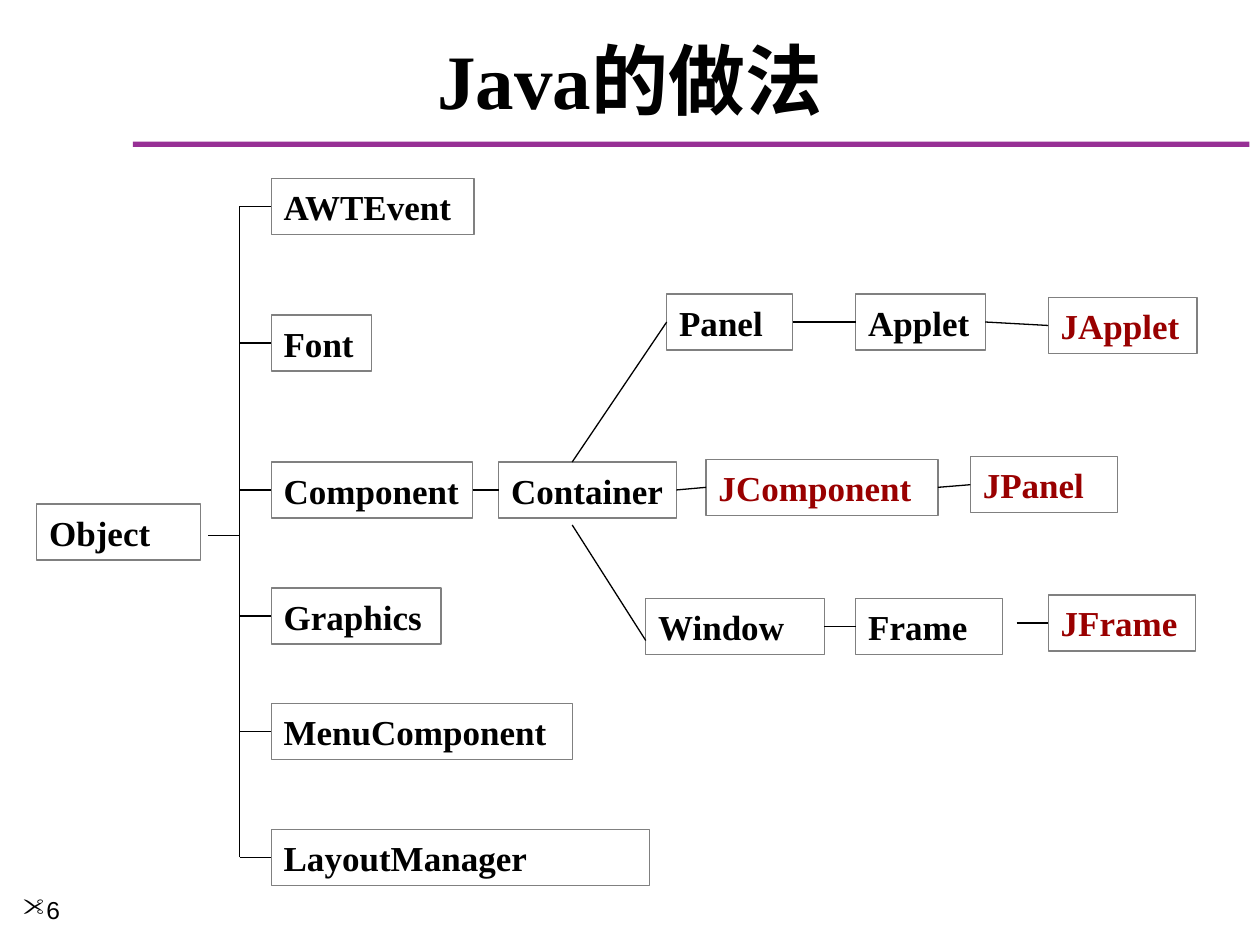
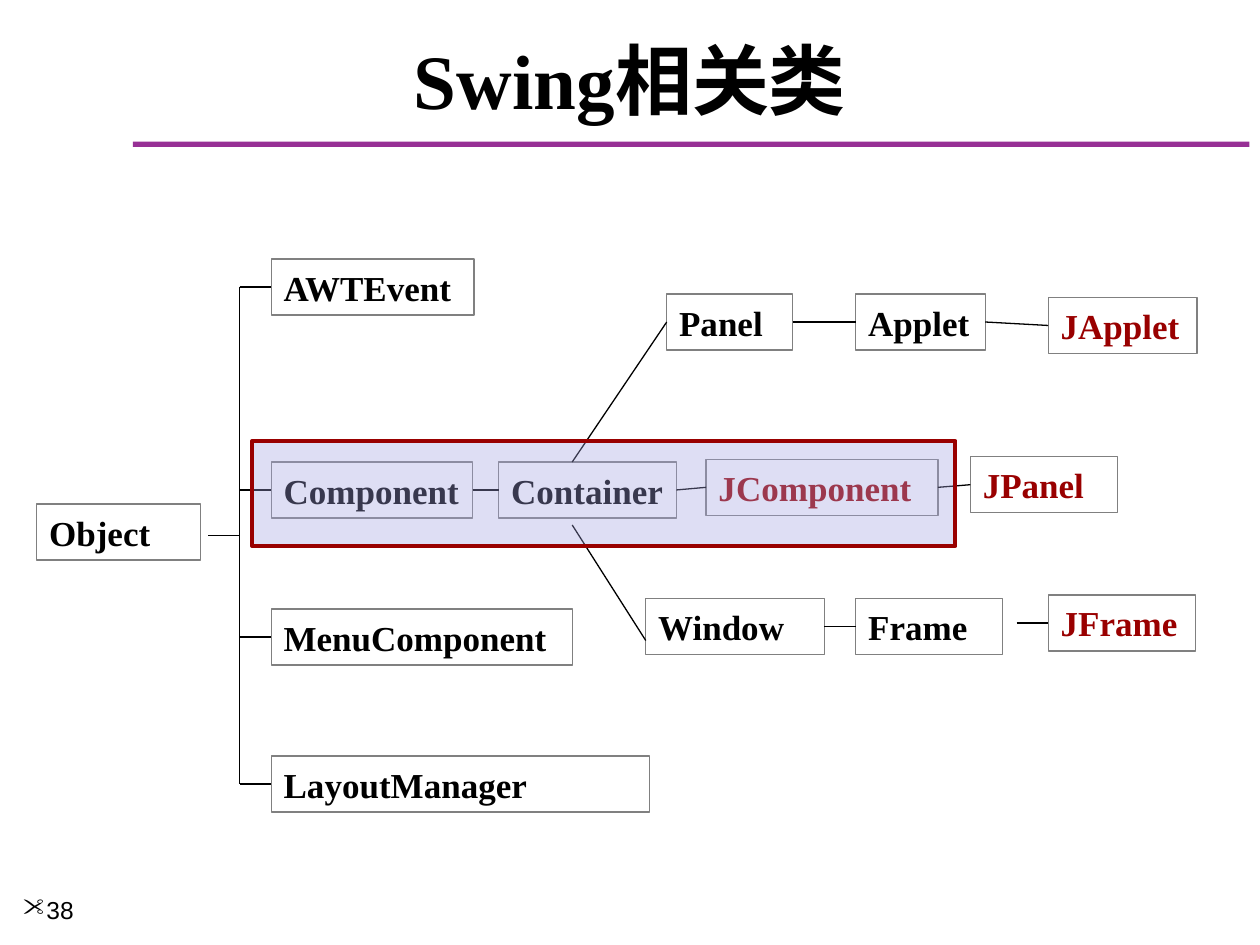
from dataclasses import dataclass

from lxml import etree
from pptx import Presentation
from pptx.dml.color import RGBColor
from pptx.enum.shapes import MSO_CONNECTOR, MSO_SHAPE
from pptx.enum.text import MSO_ANCHOR, PP_ALIGN
from pptx.oxml.ns import qn
from pptx.util import Pt

RECT = MSO_SHAPE.RECTANGLE
STRAIGHT = MSO_CONNECTOR.STRAIGHT
MIDDLE = MSO_ANCHOR.MIDDLE
LEFT, CENTER = PP_ALIGN.LEFT, PP_ALIGN.CENTER
LEFT_SIDE, RIGHT_SIDE = 1, 3


@dataclass(frozen=True)
class Theme:
    ink: RGBColor = RGBColor(0x00, 0x00, 0x00)
    swing: RGBColor = RGBColor(0x99, 0x00, 0x00)
    border: RGBColor = RGBColor(0x80, 0x80, 0x80)
    band: RGBColor = RGBColor(0x97, 0x30, 0x95)
    highlight: RGBColor = RGBColor(0xA3, 0xA3, 0xE0)
    serif: str = "Times New Roman"
    sans: str = "Arial"
    title_size: int = 44
    class_size: int = 20
    number_size: int = 14
    thin: float = 0.75
    thick: float = 2.25


THEME = Theme()
BOX_HEIGHT = 32
BRANCH_LEFT = 155
TRUNK_X = 137
OBJECT_Y = 306

BRANCH_WIDTHS = {
    "AWTEvent": 116, "Font": 57.5, "Component": 115,
    "Graphics": 97, "MenuComponent": 172, "LayoutManager": 216,
}
# Descendants of Component: name -> left, top, width, colour
DESCENDANTS = {
    "Container": (285, 264, 101.5, THEME.ink),
    "Panel": (381, 168, 72, THEME.ink),
    "Applet": (489, 168, 74, THEME.ink),
    "Window": (369, 342, 102, THEME.ink),
    "Frame": (489, 342, 84, THEME.ink),
    "JFrame": (599, 340, 84, THEME.swing),
    "JApplet": (599, 170, 85, THEME.swing),
    "JComponent": (403.5, 262.5, 132.5, THEME.swing),
    "JPanel": (554.5, 261, 84, THEME.swing),
}
CHAINS = [
    ("Component", "Container", "JComponent", "JPanel"),
    ("Panel", "Applet", "JApplet"),
    ("Window", "Frame"),
]


def write(tf, text, *, size, font=THEME.serif, color=THEME.ink, bold=True,
          align=LEFT):
    p = tf.paragraphs[0]
    p.alignment = align
    r = p.add_run()
    r.text = text
    r.font.name, r.font.size, r.font.bold = font, Pt(size), bold
    r.font.color.rgb = color
    return p


def add_rect(s, left, top, width, height, *, fill=None, line=None,
             line_width=THEME.thin):
    sp = s.shapes.add_shape(RECT, Pt(left), Pt(top), Pt(width), Pt(height))
    sp.shadow.inherit = False
    if fill is None:
        sp.fill.background()
    else:
        sp.fill.solid()
        sp.fill.fore_color.rgb = fill
    if line is None:
        sp.line.fill.background()
    else:
        sp.line.color.rgb = line
        sp.line.width = Pt(line_width)
    return sp


def add_class_box(s, name, left, top, width, color=THEME.ink):
    sp = add_rect(s, left, top, width, BOX_HEIGHT, line=THEME.border)
    tf = sp.text_frame
    tf.word_wrap = True
    tf.vertical_anchor = MIDDLE
    tf.margin_right = 0
    write(tf, name, size=THEME.class_size, color=color)
    return sp


def add_line(s, start=(0, 0), end=(0, 0), *, source=None, target=None):
    """Draw a line; source and target boxes replace the matching point."""
    c = s.shapes.add_connector(STRAIGHT, *map(Pt, (*start, *end)))
    c.line.color.rgb = THEME.ink
    c.line.width = Pt(THEME.thin)
    etree.SubElement(c._element.spPr, qn("a:effectLst"))
    if source is not None:
        c.begin_connect(source, RIGHT_SIDE)
    if target is not None:
        c.end_connect(target, LEFT_SIDE)


def add_slide_number(s, number):
    sp = s.shapes.add_textbox(Pt(6), Pt(508), Pt(78), Pt(32))
    sp.text_frame.word_wrap = True
    p = write(sp.text_frame, str(number), size=THEME.number_size,
              font=THEME.sans, bold=False)
    pPr = p._p.get_or_add_pPr()
    etree.SubElement(pPr, qn("a:buFont"), typeface="Wingdings", charset="2")
    etree.SubElement(pPr, qn("a:buChar"), char='"')


def add_titled_slide(prs, title, number):
    s = prs.slides.add_slide(prs.slide_layouts[5])
    add_rect(s, 76, 81, 638, 3, fill=THEME.band)
    sp = s.shapes.title
    sp.left, sp.top, sp.width, sp.height = map(Pt, (12, 18, 696, 54))
    sp.text_frame.vertical_anchor = MIDDLE
    write(sp.text_frame, title, size=THEME.title_size, align=CENTER)
    add_slide_number(s, number)
    return s


def add_class_tree(s, branch_tops):
    """Draw Object, its subclasses at the given tops, and the GUI classes."""
    add_class_box(s, "Object", 21, 288, 93.5)
    boxes = {name: add_class_box(s, name, BRANCH_LEFT, top, BRANCH_WIDTHS[name])
             for name, top in branch_tops.items()}
    tops = list(branch_tops.values())
    middle = BOX_HEIGHT / 2
    add_line(s, (TRUNK_X, tops[0] + middle), (TRUNK_X, tops[-1] + middle))
    add_line(s, (119, OBJECT_Y), (TRUNK_X, OBJECT_Y))
    for name, top in branch_tops.items():
        add_line(s, (TRUNK_X, top + middle), target=boxes[name])

    for name, place in DESCENDANTS.items():
        boxes[name] = add_class_box(s, name, *place)
    for chain in CHAINS:
        for parent, child in zip(chain, chain[1:]):
            add_line(s, source=boxes[parent], target=boxes[child])
    add_line(s, (327, 264), target=boxes["Panel"])
    add_line(s, (327, 300), (369, 366))
    add_line(s, (581, 356), target=boxes["JFrame"])


def add_highlight(s, left, top, width, height):
    sp = add_rect(s, left, top, width, height, fill=THEME.highlight,
                  line=THEME.swing, line_width=THEME.thick)
    color = sp._element.spPr.find(qn("a:solidFill"))[0]
    etree.SubElement(color, qn("a:alpha"), val="35000")


def main():
    prs = Presentation()
    prs.slide_width, prs.slide_height = Pt(720), Pt(540)

    s = add_titled_slide(prs, "Java的做法", 6)
    add_class_tree(s, {
        "AWTEvent": 102, "Font": 180, "Component": 264,
        "Graphics": 336, "MenuComponent": 402, "LayoutManager": 474,
    })

    s = add_titled_slide(prs, "Swing相关类", 38)
    add_class_tree(s, {
        "AWTEvent": 148, "Component": 264,
        "MenuComponent": 348, "LayoutManager": 432,
    })
    add_highlight(s, 144, 252, 402, 60)

    prs.save("out.pptx")


if __name__ == "__main__":
    main()
